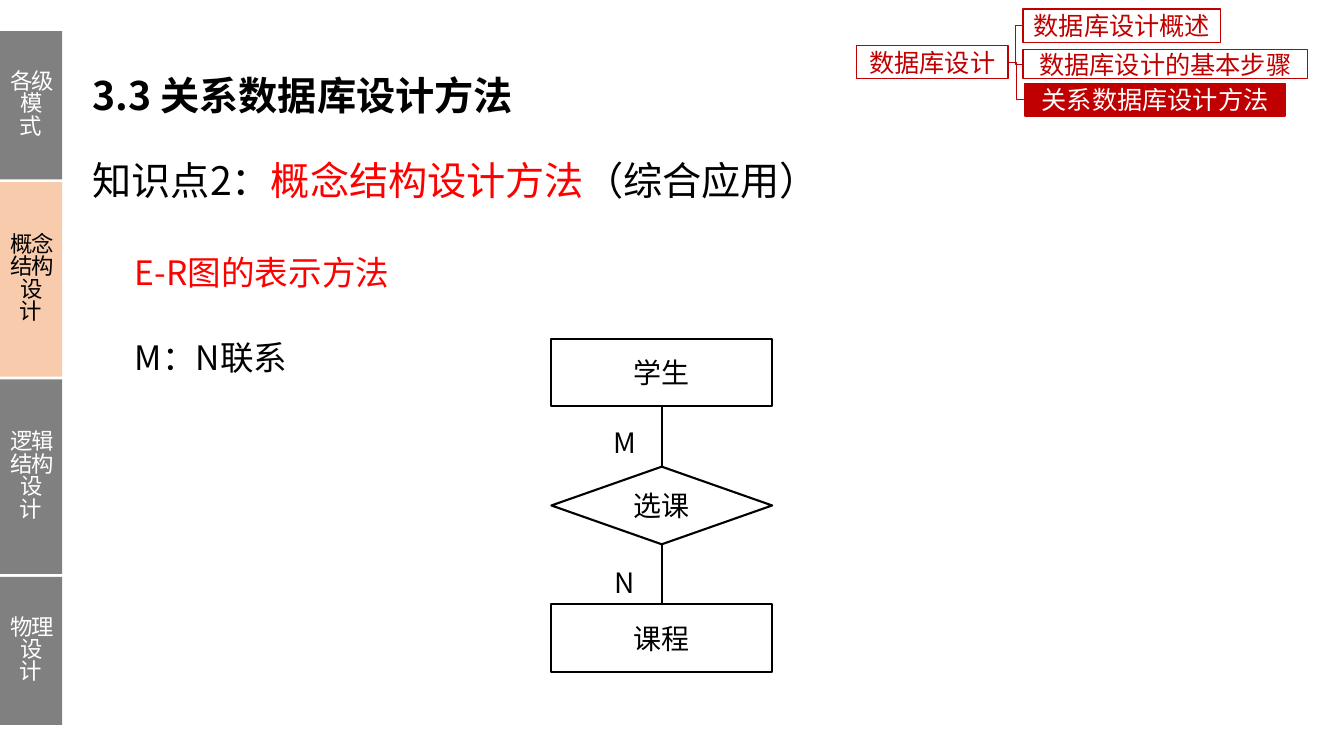
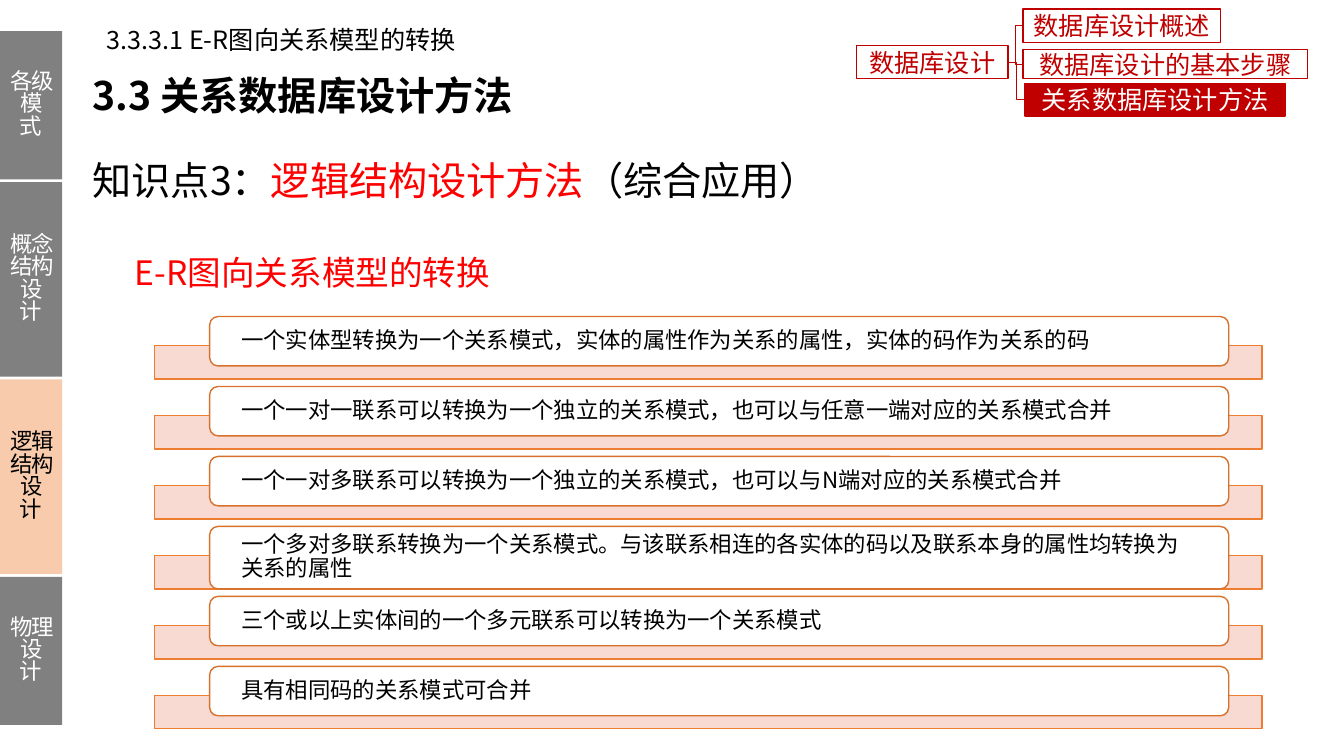
"""Build two lecture slides on relational database design methods."""
from dataclasses import dataclass
from typing import NamedTuple, Optional, Sequence

from lxml import etree
from pptx import Presentation
from pptx import util as u
from pptx.dml.color import RGBColor
from pptx.enum import shapes as kinds, text
from pptx.oxml import ns
from pptx.shapes import autoshape, shapetree as tree
from pptx.slide import Slide

COLUMNS, ROWS = 160, 90
CELL = u.Inches(1 / 12)


@dataclass(frozen=True)
class Theme:
    """Colours, fonts and type sizes of the deck."""
    black: str = "000000"
    white: str = "FFFFFF"
    red: str = "FF0000"
    nav: str = "C00000"
    tab: str = "808080"
    tab_active: str = "F8CBAD"
    band: str = "F8D7CE"
    band_edge: str = "ED7D31"
    card_edge: str = "D7712C"
    sc: str = "Noto Sans CJK SC"
    jp: str = "Noto Sans CJK JP"
    title: int = 28
    heading: int = 24
    diagram: int = 20
    label: int = 18
    body: int = 16


THEME = Theme()


class Area(NamedTuple):
    """A rectangle in grid cells."""
    left: float
    top: float
    width: float
    height: float

    @property
    def right(self) -> float:
        """Return the right edge."""
        return self.left + self.width

    @property
    def bottom(self) -> float:
        """Return the bottom edge."""
        return self.top + self.height

    @property
    def centre(self) -> float:
        """Return the horizontal centre."""
        return self.left + self.width / 2

    @property
    def middle(self) -> float:
        """Return the vertical middle."""
        return self.top + self.height / 2


class Run(NamedTuple):
    """A stretch of text in one colour."""
    words: str
    colour: str = THEME.black


@dataclass(frozen=True)
class Style:
    """How the paragraph of a box is set."""
    size: int
    font: str = THEME.jp
    bold: bool = False
    centred: bool = False
    middle: bool = False
    spacing: object = None
    tracking: float = 0
    inset: tuple[float, float] = (0.1, 0.05)
    grow: bool = False
    wrap: bool = True


@dataclass(frozen=True)
class Labelled:
    """A named box on the grid."""
    words: str
    area: Area


TITLE = Style(THEME.title, THEME.sc, bold=True, inset=(0.12, 0.06), grow=True)
TOPIC = Style(THEME.title, THEME.sc, middle=True, spacing=1.5, inset=(0.12, 0.06))
HEADING = Style(THEME.heading, spacing=u.Pt(37), grow=True)
SUBHEADING = Style(THEME.heading, grow=True)
CRUMB = Style(THEME.label, THEME.sc, grow=True, wrap=False)
NAV = Style(THEME.label, THEME.sc, centred=True, middle=True)
TAB = Style(THEME.body, THEME.sc, centred=True, middle=True, spacing=u.Pt(16), tracking=-1)
NODE = Style(THEME.diagram, centred=True, middle=True)
CARDINALITY = Style(THEME.diagram, centred=True, grow=True)
CARD = Style(THEME.body, middle=True, spacing=0.9, inset=(0.29, 0.02))

TABS = (("各级模式", 17.64), ("概念结构设计", 23.16), ("逻辑结构设计", 23.16), ("物理设计", 17.64))
TAB_TOP, TAB_WIDTH, TAB_GAP = 3.72, 7.4, 0.33

NAV_ROOT = Labelled("数据库设计", Area(102, 5.4, 18, 3.96))
NAV_ITEMS = (
    Labelled("数据库设计概述", Area(121.8, 1.08, 23.52, 3.96)),
    Labelled("数据库设计的基本步骤", Area(121.8, 5.88, 33.84, 3.48)),
    Labelled("关系数据库设计方法", Area(122.04, 9.96, 30.96, 3.84)),
)

STUDENT = Labelled("学生", Area(65.64, 40.32, 26.28, 8.04))
CHOICE = Labelled("选课", Area(65.64, 55.56, 26.28, 9.24))
COURSE = Labelled("课程", Area(65.64, 71.94, 26.28, 8.04))
CARDINALITIES = (
    Labelled("M", Area(69.96, 50.04, 8.88, 5.28)),
    Labelled("N", Area(69.96, 66.72, 8.88, 5.28)),
)

RULES = (
    "一个实体型转换为一个关系模式，实体的属性作为关系的属性，实体的码作为关系的码",
    "一个一对一联系可以转换为一个独立的关系模式，也可以与任意一端对应的关系模式合并",
    "一个一对多联系可以转换为一个独立的关系模式，也可以与N端对应的关系模式合并",
    "一个多对多联系转换为一个关系模式。与该联系相连的各实体的码以及联系本身的属性均转换为关系的属性",
    "三个或以上实体间的一个多元联系可以转换为一个关系模式",
    "具有相同码的关系模式可合并",
)
RULE_PITCH, CARD_HEIGHT, TALL_CARD_HEIGHT, LINE_CAPACITY = 8.33, 5.88, 7.44, 42


def cells(*lengths: float) -> list[u.Emu]:
    """Turn grid cells into lengths."""
    return [u.Emu(round(length * CELL)) for length in lengths]


def colour_of(code: str) -> RGBColor:
    """Return the colour for a hex code."""
    return RGBColor.from_string(code)


def write(box: autoshape.Shape, runs: Sequence[Run], style: Style) -> None:
    """Fill a box with one paragraph of runs."""
    frame = box.text_frame
    frame.word_wrap = style.wrap
    frame.auto_size = text.MSO_AUTO_SIZE.SHAPE_TO_FIT_TEXT if style.grow else text.MSO_AUTO_SIZE.NONE
    frame.vertical_anchor = text.MSO_ANCHOR.MIDDLE if style.middle else text.MSO_ANCHOR.TOP
    frame.margin_left = frame.margin_right = u.Inches(style.inset[0])
    frame.margin_top = frame.margin_bottom = u.Inches(style.inset[1])
    para = frame.paragraphs[0]
    para.alignment = text.PP_ALIGN.CENTER if style.centred else text.PP_ALIGN.LEFT
    if style.spacing is not None:
        para.line_spacing = style.spacing
    for run in runs:
        span = para.add_run()
        span.text = run.words
        span.font.size = u.Pt(style.size)
        span.font.bold = style.bold
        span.font.color.rgb = colour_of(run.colour)
        span.font.name = style.font
        properties = span._r.get_or_add_rPr()
        etree.SubElement(properties, ns.qn("a:ea"), typeface=style.font)
        if style.tracking:
            properties.set("spc", str(round(style.tracking * 100)))


def add_text(shapes: tree._BaseGroupShapes, area: Area, style: Style, *runs: Run) -> None:
    """Add a text box."""
    write(shapes.add_textbox(*cells(*area)), runs, style)


def add_box(shapes: tree._BaseGroupShapes, area: Area, fill: Optional[str] = None,
            edge: Optional[str] = None, weight: float = 1,
            kind: kinds.MSO_SHAPE = kinds.MSO_SHAPE.RECTANGLE) -> autoshape.Shape:
    """Add a preset shape with plain fill and outline."""
    box = shapes.add_shape(kind, *cells(*area))
    box.shadow.inherit = False
    if fill:
        box.fill.solid()
        box.fill.fore_color.rgb = colour_of(fill)
    else:
        box.fill.background()
    if edge:
        box.line.color.rgb = colour_of(edge)
        box.line.width = u.Pt(weight)
    else:
        box.line.fill.background()
    return box


def add_line(shapes: tree._BaseGroupShapes, start: tuple[float, float], end: tuple[float, float],
             colour: str, weight: float, kind: kinds.MSO_CONNECTOR) -> None:
    """Add a connector without a shadow."""
    line = shapes.add_connector(kind, *cells(*start, *end))
    line.line.color.rgb = colour_of(colour)
    line.line.width = u.Pt(weight)
    etree.SubElement(line._element.spPr, ns.qn("a:effectLst"))


def add_tabs(page: Slide, active: str) -> None:
    """Draw the side tabs with one highlighted."""
    group = page.shapes.add_group_shape().shapes
    top = TAB_TOP
    for words, height in TABS:
        lit = words == active
        box = add_box(group, Area(0, top, TAB_WIDTH, height), THEME.tab_active if lit else THEME.tab)
        write(box, [Run(words, THEME.black if lit else THEME.white)], TAB)
        top += height + TAB_GAP


def add_navigation(page: Slide) -> None:
    """Draw the chapter tree with the last item current."""
    root = NAV_ROOT.area
    for item in NAV_ITEMS:
        add_line(page.shapes, (item.area.left, item.area.middle), (root.right, root.middle),
                 THEME.nav, 0.5, kinds.MSO_CONNECTOR.ELBOW)
    for item in (NAV_ROOT, *NAV_ITEMS):
        current = item is NAV_ITEMS[-1]
        box = add_box(page.shapes, item.area, THEME.nav if current else THEME.white, THEME.nav)
        write(box, [Run(item.words, THEME.white if current else THEME.nav)], NAV)


def add_page(deck: Presentation, number: int, topic: str, heading: str) -> Slide:
    """Add a slide with the shared titles, tabs and chapter tree."""
    page = deck.slides.add_slide(deck.slide_layouts[6])
    add_text(page.shapes, Area(9.6, 7.8, 115.8, 7.08), TITLE, Run("3.3 关系数据库设计方法"))
    add_text(page.shapes, Area(9.6, 13.8, 145.92, 12.48), TOPIC, Run(f"知识点{number}："),
             Run(f"{topic}方法", THEME.red), Run("（综合应用）"))
    add_text(page.shapes, Area(14.88, 28.08, 131.28, 7.44), HEADING, Run(heading, THEME.red))
    add_tabs(page, topic)
    add_navigation(page)
    return page


def add_diagram(page: Slide) -> None:
    """Draw the many-to-many entity-relationship diagram."""
    group = page.shapes.add_group_shape().shapes
    for node in (STUDENT, CHOICE, COURSE):
        kind = kinds.MSO_SHAPE.DIAMOND if node is CHOICE else kinds.MSO_SHAPE.RECTANGLE
        box = add_box(group, node.area, edge=THEME.black, weight=1.5, kind=kind)
        write(box, [Run(node.words)], NODE)
    for upper, lower in ((STUDENT.area, CHOICE.area), (CHOICE.area, COURSE.area)):
        add_line(group, (upper.centre, upper.bottom), (lower.centre, lower.top),
                 THEME.black, 1.5, kinds.MSO_CONNECTOR.STRAIGHT)
    for label in CARDINALITIES:
        add_text(group, label.area, CARDINALITY, Run(label.words))


def add_rules(page: Slide) -> None:
    """Draw the conversion rules as cards over bands."""
    for index, rule in enumerate(RULES):
        shift = index * RULE_PITCH
        band = add_box(page.shapes, Area(18.36, 41.16 + shift, 131.88, 3.96), THEME.band, THEME.band_edge)
        tint = band._element.spPr.find(ns.qn("a:solidFill"))[0]
        etree.SubElement(tint, ns.qn("a:alpha"), val="90000")
        height = TALL_CARD_HEIGHT if len(rule) > LINE_CAPACITY else CARD_HEIGHT
        card = add_box(page.shapes, Area(24.96, 37.68 + shift, 121.32, height), THEME.white,
                       THEME.card_edge, kind=kinds.MSO_SHAPE.ROUNDED_RECTANGLE)
        card.adjustments[0] = 1 / height
        write(card, [Run(rule)], CARD)


def main() -> None:
    """Build and save the deck."""
    deck = Presentation()
    deck.slide_width, deck.slide_height = cells(COLUMNS, ROWS)
    concept = add_page(deck, 2, "概念结构设计", "E-R图的表示方法")
    add_diagram(concept)
    add_text(concept.shapes, Area(14.88, 39.48, 27.6, 6), SUBHEADING, Run("M：N联系"))
    logic = add_page(deck, 3, "逻辑结构设计", "E-R图向关系模型的转换")
    add_rules(logic)
    add_text(logic.shapes, Area(11.52, 2.28, 44.76, 4.8), CRUMB, Run("3.3.3.1 E-R图向关系模型的转换"))
    deck.save("out.pptx")


if __name__ == "__main__":
    main()
